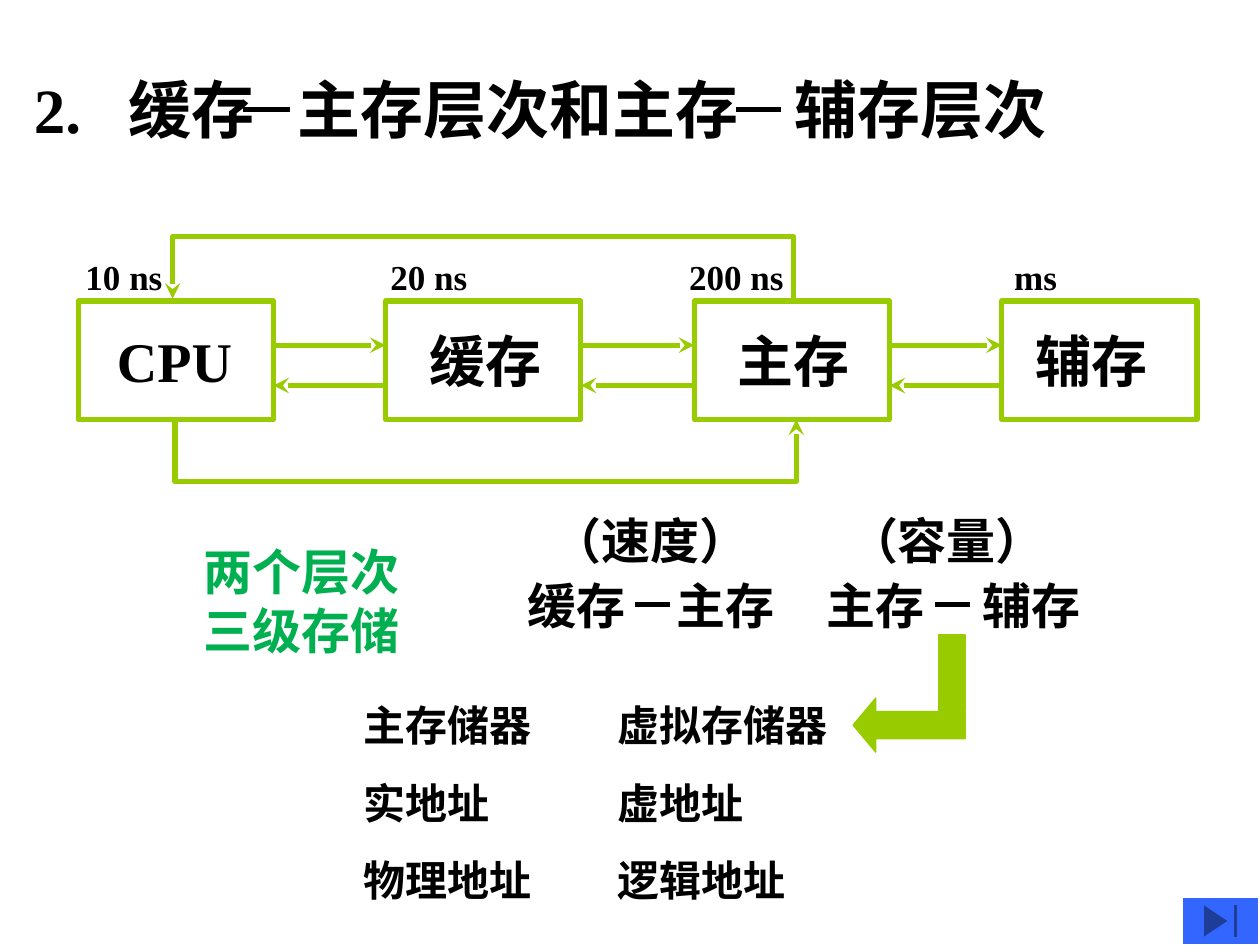
from lxml import etree
from pptx import Presentation, util as u
from pptx.dml.color import RGBColor
from pptx.enum import shapes as s, text as t
from pptx.oxml.ns import qn

PX = 9144  # 100 px to the inch
GREEN, BLACK, EMERALD, BLUE = "99CC00", "000000", "00B050", "3366FF"


def add_text(lines, left, top, width, height, size, color=BLACK):
    box = slide.shapes.add_textbox(left * PX, top * PX, width * PX, height * PX)
    box.text_frame.word_wrap = True
    box.text_frame.auto_size = t.MSO_AUTO_SIZE.SHAPE_TO_FIT_TEXT
    box.text_frame.text = lines
    for paragraph in box.text_frame.paragraphs:
        paragraph.font.name = "Times New Roman"
        paragraph.font.size = u.Pt(size)
        paragraph.font.bold = True
        paragraph.font.color.rgb = RGBColor.from_string(color)
    return box


def style_line(shape, color, width=3, arrow=False):
    shape.line.color.rgb = RGBColor.from_string(color)
    shape.line.width = u.Pt(width)
    properties = shape._element.spPr
    if arrow:
        etree.SubElement(properties.find(qn("a:ln")), qn("a:tailEnd"), type="stealth")
    if properties.find(qn("a:effectLst")) is None:
        etree.SubElement(properties, qn("a:effectLst"))


presentation = Presentation()
presentation.slide_width, presentation.slide_height = 1000 * PX, 750 * PX
slide = presentation.slides.add_slide(presentation.slide_layouts[6])

# Title, with tab stops that leave room for the dashes
title = add_text("2.\t缓存\t主存层次和主存\t辅存层次", 17, 51, 840, 70, 36)
title_properties = title.text_frame.paragraphs[0]._p.get_or_add_pPr()
tabs = etree.Element(qn("a:tabLst"))
title_properties.insert(0, tabs)
for position in (75, 209, 604):
    etree.SubElement(tabs, qn("a:tab"), pos=str(position * PX), algn="l")

# Storage levels: name, left edge, sideways shift of the name
NODE_TOP, NODE_WIDTH, NODE_HEIGHT = 239, 155, 94
nodes = [("CPU", 62, -1), ("缓存", 306, 2), ("主存", 551, 1), ("辅存", 795, -6)]
for name, left, shift in nodes:
    node = slide.shapes.add_shape(s.MSO_SHAPE.RECTANGLE, left * PX, NODE_TOP * PX,
                                  NODE_WIDTH * PX, NODE_HEIGHT * PX)
    node.shadow.inherit = False
    node.fill.background()
    style_line(node, GREEN)
    node.text_frame.margin_left = (10 + shift) * PX
    node.text_frame.margin_right = (10 - shift) * PX
    node.text_frame.text = name
    paragraph = node.text_frame.paragraphs[0]
    paragraph.alignment = t.PP_ALIGN.CENTER
    paragraph.font.name = "Times New Roman"
    paragraph.font.size = u.Pt(32)
    paragraph.font.bold = True
    paragraph.font.color.rgb = RGBColor.from_string(BLACK)

# Access times
for label, left, width in [("10 ns", 58, 85), ("20 ns", 300, 85),
                           ("200 ns", 537, 99), ("ms", 795, 58)]:
    add_text(label, left, 198, width, 44, 20)

# Arrows both ways between neighbours, then the dashes: x1, x2, y, colour
lines = []
for (_, left, _), (_, next_left, _) in zip(nodes, nodes[1:]):
    right = left + NODE_WIDTH
    lines += [(right, next_left, 274, GREEN), (next_left, right, 306, GREEN)]
lines += [(193, 230, 87, BLACK), (584, 620, 87, BLACK),
          (504, 532, 480, BLACK), (742, 770, 480, BLACK)]
for x1, x2, y, color in lines:
    connector = slide.shapes.add_connector(s.MSO_CONNECTOR.STRAIGHT,
                                           x1 * PX, y * PX, x2 * PX, y * PX)
    style_line(connector, color, arrow=color == GREEN)

# Loops between CPU and main memory
for start_x, end_x, edge_y, bend_y in [(139, 632, 333, 382), (630, 137, 237, 188)]:
    builder = slide.shapes.build_freeform(start_x, edge_y, scale=PX)
    builder.add_line_segments([(start_x, bend_y), (end_x, bend_y), (end_x, edge_y)],
                              close=False)
    loop = builder.convert_to_shape()
    loop.shadow.inherit = False
    loop.fill.background()
    style_line(loop, GREEN, arrow=True)

# The two layers
add_text("两个层次\n三级存储", 152, 425, 180, 104, 28, EMERALD)
for label, left in [("（速度）", 429), ("（容量）", 664)]:
    add_text(label, left, 400, 180, 57, 28)
for label, left in [("缓存", 409), ("主存", 527), ("主存", 646), ("辅存", 770)]:
    add_text(label, left, 452, 102, 57, 28)

# Address terms
columns = [(279, ["主存储器", "实地址", "物理地址"]),
           (480, ["虚拟存储器", "虚地址", "逻辑地址"])]
for left, terms in columns:
    for term, top in zip(terms, (550, 612, 673)):
        add_text(term, left, top, 24 + 34 * len(term), 50, 24)

# Bent arrow and end button
SHAPE = s.MSO_SHAPE
for kind, left, top, width, height, color in [
        (SHAPE.RECTANGLE, 745, 504, 21, 60, GREEN),
        (SHAPE.LEFT_ARROW, 677, 554, 89, 43, GREEN),
        (SHAPE.ACTION_BUTTON_END, 939, 713, 59, 36, BLUE)]:
    shape = slide.shapes.add_shape(kind, left * PX, top * PX, width * PX, height * PX)
    shape.shadow.inherit = False
    shape.fill.solid()
    shape.fill.fore_color.rgb = RGBColor.from_string(color)
    style_line(shape, color, 0.75)
    if kind == SHAPE.LEFT_ARROW:
        shape.adjustments[0], shape.adjustments[1] = 0.5, 0.42

presentation.save("out.pptx")
